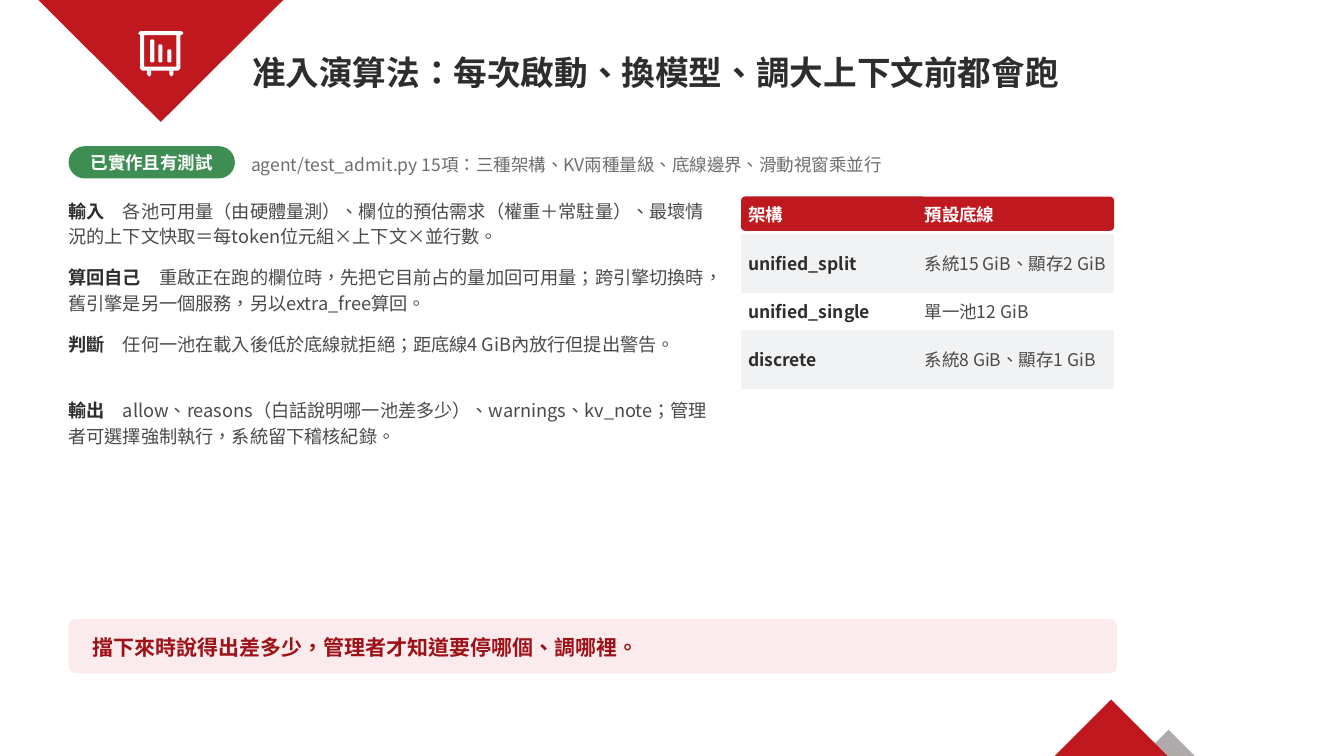
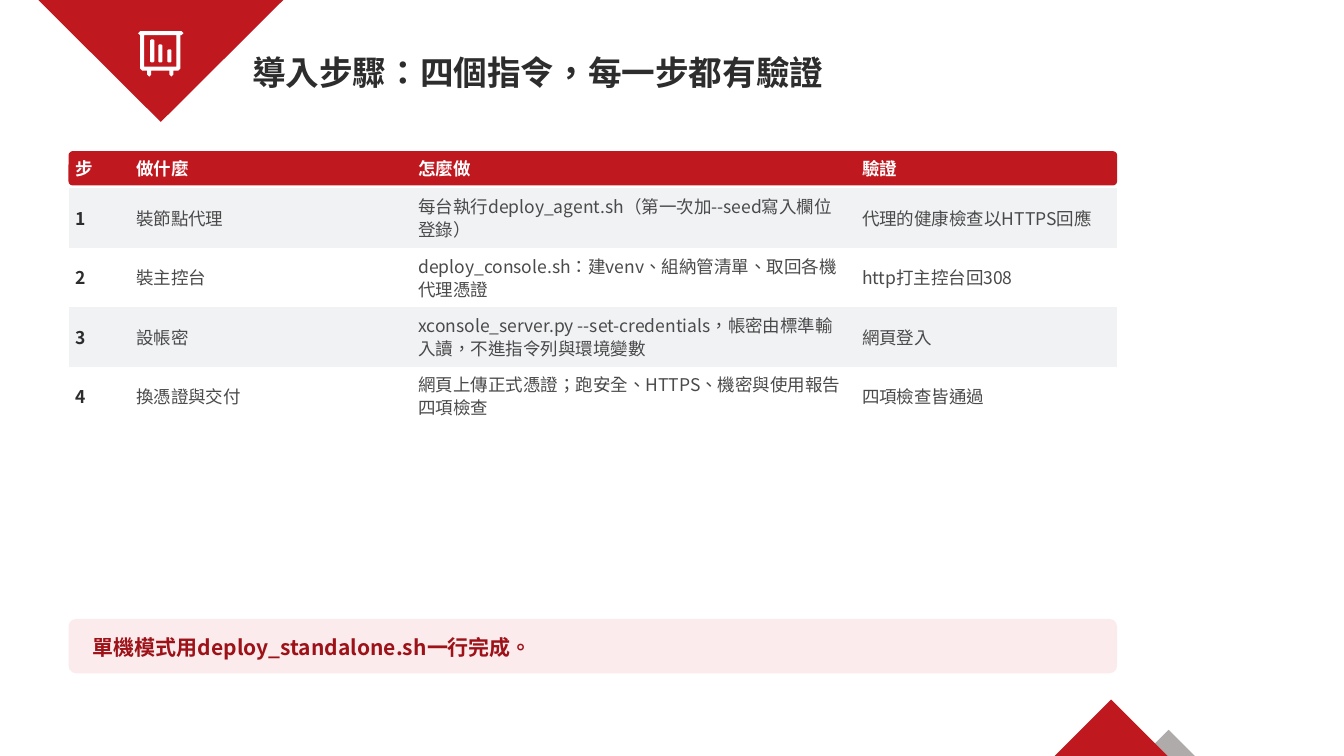
"""Build two slides on admission checks and rollout steps."""
from dataclasses import dataclass

from lxml import etree
from pptx import Presentation
from pptx.dml.color import RGBColor
from pptx.enum.shapes import MSO_SHAPE
from pptx.enum.text import MSO_ANCHOR, PP_ALIGN
from pptx.oxml.ns import qn
from pptx.shapes.autoshape import Shape
from pptx.slide import Slide
from pptx.text.text import TextFrame, _Paragraph
from pptx.util import Inches, Pt

ROUND, UP, DOWN = MSO_SHAPE.ROUNDED_RECTANGLE, MSO_SHAPE.ISOSCELES_TRIANGLE, MSO_SHAPE.FLOWCHART_MERGE
MIDDLE, TOP = MSO_ANCHOR.MIDDLE, MSO_ANCHOR.TOP
LEFT, CENTER = PP_ALIGN.LEFT, PP_ALIGN.CENTER

FONT, LANG = "Noto Sans CJK TC", "zh-TW"
RED, DARK, BODY, MUTED = "BF181F", "2D2D2D", "4A4A4A", "6E6E6E"
WHITE, GRAY, GREEN, BAND = "FFFFFF", "AFABAB", "3E8E54", "F1F2F4"
PINK, WINE = "FBEBEC", "9C1218"
NO_STYLE = "{2D5ABB26-0587-4C30-8999-92F81FD0307C}"
EDGE, WIDE = 0.68, 10.4
HEAD, GAP, PAD = 0.34, 0.03, 0.07


@dataclass(frozen=True)
class Box:
    """A place on the slide, in inches."""
    left: float
    top: float
    width: float
    height: float

    def emu(self) -> tuple:
        """Return the four lengths for python-pptx."""
        return tuple(Inches(n) for n in (self.left, self.top, self.width, self.height))


@dataclass(frozen=True)
class Style:
    """The look of one paragraph."""
    size: float
    color: str
    bold: bool = False
    space: float = 1.0
    align: PP_ALIGN = LEFT


@dataclass(frozen=True)
class Grid:
    """A table: its place, column widths, row heights and texts."""
    left: float
    top: float
    cols: tuple
    rows: tuple
    texts: tuple


TITLE = Style(24, DARK, True)
BADGE = Style(12.5, WHITE, True, align=CENTER)
NOTE = Style(12.5, MUTED, space=1.05)
ITEM = Style(13, BODY, space=1.16)
HEADER = Style(12.5, WHITE, True)
KEY = Style(12.5, DARK, True, 0.91)
CELL = Style(12.5, BODY, space=0.91)
CLOSE = Style(15, WINE, True, 1.05)

BOARD = (
    (1.39, 0.31), (1.8, 0.31), (1.82, 0.33), (1.8, 0.35), (1.79, 0.35), (1.79, 0.68), (1.77, 0.7),
    (1.72, 0.7), (1.72, 0.74), (1.7, 0.76), (1.68, 0.74), (1.68, 0.7),
    (1.5, 0.7), (1.5, 0.74), (1.48, 0.76), (1.46, 0.74), (1.46, 0.7),
    (1.41, 0.7), (1.39, 0.68), (1.39, 0.35), (1.37, 0.33),
)
PANE = ((1.43, 0.35), (1.43, 0.66), (1.75, 0.66), (1.75, 0.35))
BARS = ((1.51, 0.39), (1.59, 0.44), (1.68, 0.49))
ITEMS = (
    ("輸入", "各池可用量（由硬體量測）、欄位的預估需求（權重＋常駐量）、最壞情況的上下文快取＝每token位元組×上下文×並行數。"),
    ("算回自己", "重啟正在跑的欄位時，先把它目前占的量加回可用量；跨引擎切換時，舊引擎是另一個服務，另以extra_free算回。"),
    ("判斷", "任何一池在載入後低於底線就拒絕；距底線4 GiB內放行但提出警告。"),
    ("輸出", "allow、reasons（白話說明哪一池差多少）、warnings、kv_note；管理者可選擇強制執行，系統留下稽核紀錄。"),
)
FLOORS = Grid(7.35, 1.95, (1.75, 1.95), (0.59, 0.36, 0.59), (
    ("架構", "預設底線"),
    ("unified_split", "系統15 GiB、顯存2 GiB"),
    ("unified_single", "單一池12 GiB"),
    ("discrete", "系統8 GiB、顯存1 GiB"),
))
STEPS = Grid(EDGE, 1.5, (0.6, 2.8, 4.4, 2.6), (0.59,) * 4, (
    ("步", "做什麼", "怎麼做", "驗證"),
    ("1", "裝節點代理", "每台執行deploy_agent.sh（第一次加--seed寫入欄位登錄）", "代理的健康檢查以HTTPS回應"),
    ("2", "裝主控台", "deploy_console.sh：建venv、組納管清單、取回各機代理憑證", "http打主控台回308"),
    ("3", "設帳密", "xconsole_server.py --set-credentials，帳密由標準輸入讀，不進指令列與環境變數", "網頁登入"),
    ("4", "換憑證與交付", "網頁上傳正式憑證；跑安全、HTTPS、機密與使用報告四項檢查", "四項檢查皆通過"),
))


def rgb(code: str) -> RGBColor:
    """Turn a hex string into a colour."""
    return RGBColor.from_string(code)


def dress(par: _Paragraph, look: Style) -> None:
    """Give a paragraph its font, language, spacing and alignment."""
    par.alignment, par.line_spacing = look.align, look.space
    font = par.font
    font.name, font.size, font.bold = FONT, Pt(look.size), look.bold
    font.color.rgb = rgb(look.color)
    etree.SubElement(font._rPr, qn("a:ea"), typeface=FONT)
    for run in par.runs:
        run.font._rPr.set("lang", LANG)


def fit(frame: TextFrame, anchor: MSO_ANCHOR = MIDDLE, inset: float = 0) -> None:
    """Wrap a frame and set its anchor and side insets."""
    frame.word_wrap, frame.vertical_anchor = True, anchor
    frame.margin_left = frame.margin_right = Inches(inset)
    frame.margin_top = frame.margin_bottom = 0


def write(frame: TextFrame, text: str, look: Style) -> None:
    """Fill a frame with one styled paragraph."""
    par = frame.paragraphs[0]
    par.text = text
    dress(par, look)


def label(slide: Slide, box: Box, text: str, look: Style) -> None:
    """Add a text box."""
    frame = slide.shapes.add_textbox(*box.emu()).text_frame
    fit(frame)
    write(frame, text, look)


def paint(shape: Shape, color: str) -> None:
    """Give a shape a flat fill without line or shadow."""
    shape.shadow.inherit = False
    shape.fill.solid()
    shape.fill.fore_color.rgb = rgb(color)
    shape.line.fill.background()


def block(slide: Slide, kind: MSO_SHAPE, box: Box, color: str, curve: float | None = None) -> Shape:
    """Add a plain filled shape."""
    shape = slide.shapes.add_shape(kind, *box.emu())
    paint(shape, color)
    if curve is not None:
        shape.adjustments[0] = curve
    return shape


def bar(mid: float, top: float) -> tuple:
    """Return the outline of one icon bar with cut corners."""
    low, half, cut = 0.62, 0.02, 0.01
    return ((mid - cut, top), (mid + cut, top), (mid + half, top + cut), (mid + half, low - cut),
            (mid + cut, low), (mid - cut, low), (mid - half, low - cut), (mid - half, top + cut))


def icon(slide: Slide) -> None:
    """Draw the chart board as one outline."""
    rings = [[(Inches(x), Inches(y)) for x, y in ring]
             for ring in (BOARD, PANE, *(bar(*spot) for spot in BARS))]
    pen = slide.shapes.build_freeform(*rings[0][0], scale=1.0)
    for num, ring in enumerate(rings):
        if num:
            pen.move_to(*ring[0])
        pen.add_line_segments(ring[1:], close=True)
    paint(pen.convert_to_shape(), WHITE)


def panel(slide: Slide, box: Box, color: str, curve: float, text: str, look: Style, inset: float = 0) -> None:
    """Add a rounded shape that holds text."""
    frame = block(slide, ROUND, box, color, curve).text_frame
    fit(frame, inset=inset)
    write(frame, text, look)


def items(slide: Slide) -> None:
    """Add the labelled rules down the left side."""
    for num, (name, text) in enumerate(ITEMS):
        box = Box(EDGE, 1.95 + num * 0.66, 6.4, 0.54)
        frame = slide.shapes.add_textbox(*box.emu()).text_frame
        fit(frame, TOP)
        par = frame.paragraphs[0]
        lead = par.add_run()
        lead.text = name + "　"
        lead.font.bold = True
        lead.font.color.rgb = rgb(DARK)
        par.add_run().text = text
        dress(par, ITEM)


def table(slide: Slide, grid: Grid) -> None:
    """Add a table over a rounded header bar."""
    width = sum(grid.cols)
    block(slide, ROUND, Box(grid.left, grid.top, width, HEAD), RED, 0.12)
    tall = (HEAD + GAP, *grid.rows)
    box = Box(grid.left, grid.top, width, sum(tall))
    tab = slide.shapes.add_table(len(tall), len(grid.cols), *box.emu()).table
    tab.first_row = tab.horz_banding = False
    tab._tbl.tblPr.find(qn("a:tableStyleId")).text = NO_STYLE
    for col, size in zip(tab.columns, grid.cols):
        col.width = Inches(size)
    for row, (size, texts) in enumerate(zip(tall, grid.texts)):
        tab.rows[row].height = Inches(size)
        for col, text in enumerate(texts):
            cell = tab.cell(row, col)
            cell.vertical_anchor = MIDDLE
            cell.margin_left = cell.margin_right = Inches(PAD)
            cell.margin_top = 0
            cell.margin_bottom = Inches(0 if row else GAP)
            if row % 2:
                cell.fill.solid()
                cell.fill.fore_color.rgb = rgb(BAND)
            else:
                cell.fill.background()
            write(cell.text_frame, text, HEADER if row == 0 else CELL if col else KEY)


def start(deck: Presentation, title: str, close: str) -> Slide:
    """Add a slide with the shared decor, title and closing bar."""
    slide = deck.slides.add_slide(deck.slide_layouts[6])
    block(slide, UP, Box(11.33, 7.24, 0.52, 0.26), GRAY)
    block(slide, DOWN, Box(0.38, 0, 2.43, 1.21), RED)
    block(slide, UP, Box(10.46, 6.94, 1.12, 0.56), RED)
    icon(slide)
    label(slide, Box(2.5, 0.42, 10.2, 0.6), title, TITLE)
    panel(slide, Box(EDGE, 6.14, WIDE, 0.54), PINK, 0.14, close, CLOSE, 0.22)
    return slide


def main() -> None:
    """Build and save the deck."""
    deck = Presentation()
    deck.slide_width, deck.slide_height = Inches(13.33), Inches(7.5)

    admit = start(deck, "准入演算法：每次啟動、換模型、調大上下文前都會跑", "擋下來時說得出差多少，管理者才知道要停哪個、調哪裡。")
    panel(admit, Box(EDGE, 1.45, 1.65, 0.32), GREEN, 0.5, "已實作且有測試", BADGE)
    label(admit, Box(2.49, 1.47, 10.09, 0.32),
          "agent/test_admit.py 15項：三種架構、KV兩種量級、底線邊界、滑動視窗乘並行", NOTE)
    items(admit)
    table(admit, FLOORS)

    steps = start(deck, "導入步驟：四個指令，每一步都有驗證", "單機模式用deploy_standalone.sh一行完成。")
    table(steps, STEPS)

    deck.save("out.pptx")


if __name__ == "__main__":
    main()
